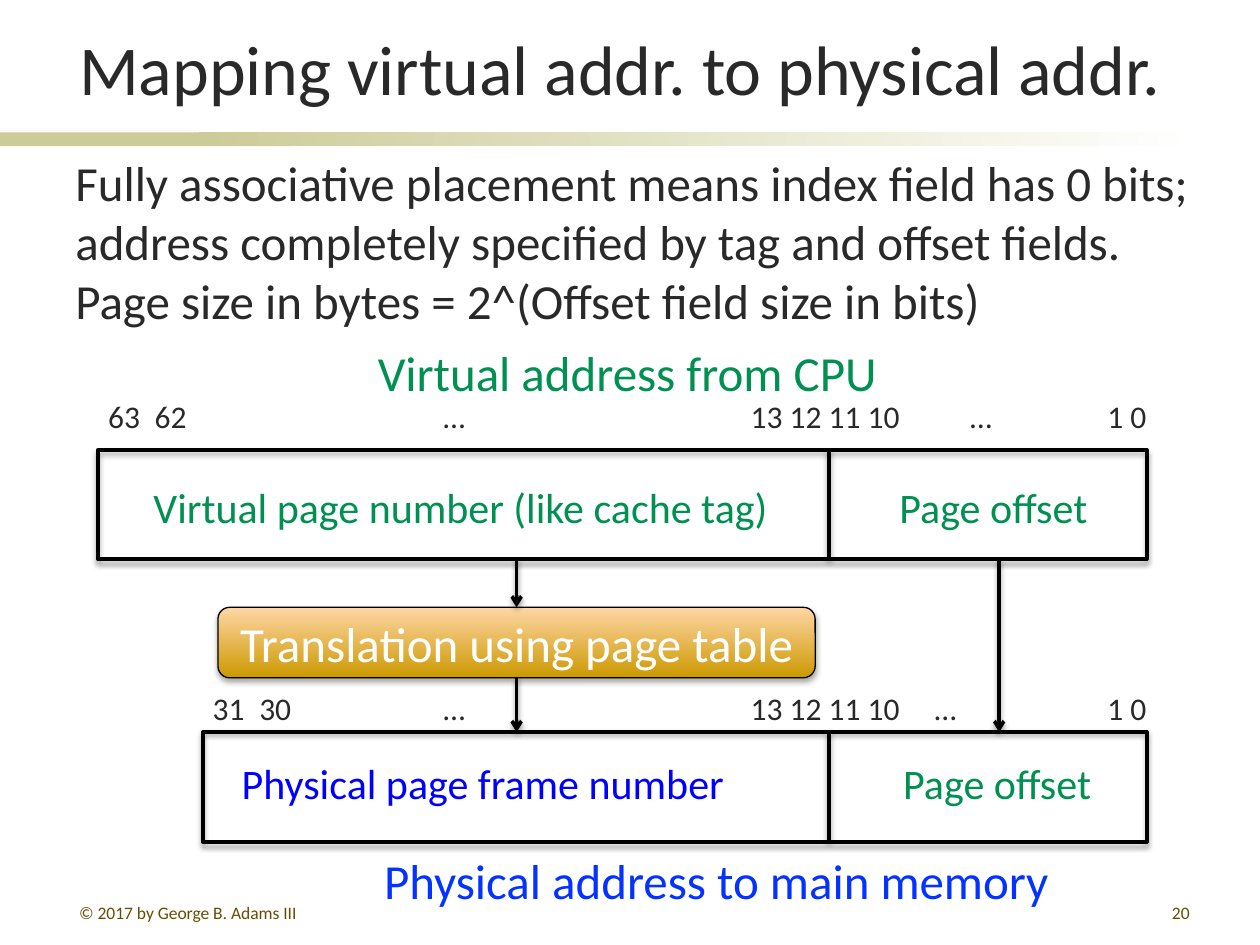
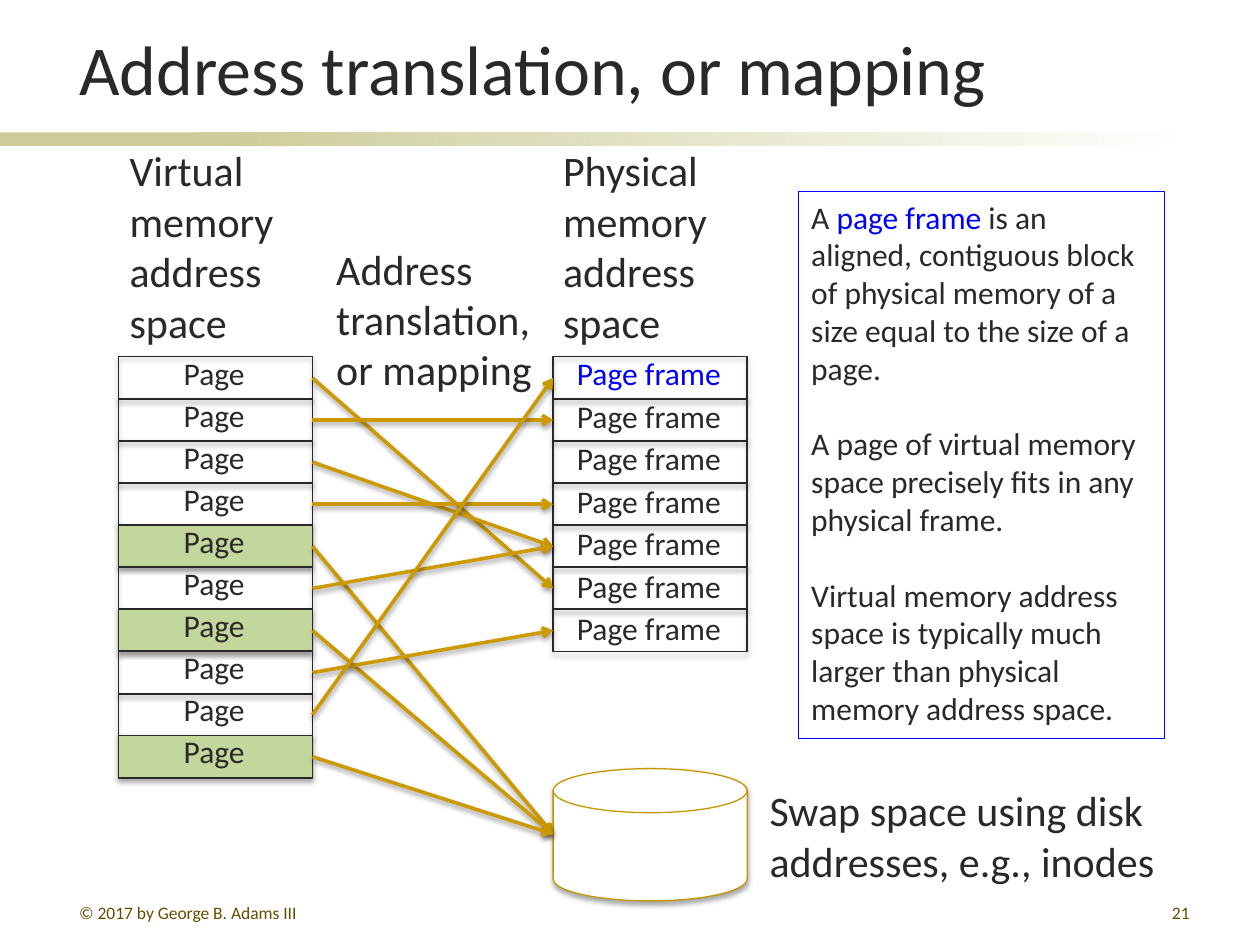
"""Builds two slides on mapping virtual addresses to physical addresses."""
from lxml.etree import SubElement
from pptx import Presentation
from pptx.dml.color import RGBColor
from pptx.enum.shapes import MSO_CONNECTOR, MSO_SHAPE as Preset
from pptx.enum.text import MSO_ANCHOR as Anchor, PP_ALIGN as Align
from pptx.oxml.ns import qn
from pptx.util import Inches, Pt

INK = RGBColor(0x29, 0x29, 0x29)
BLACK = RGBColor(0, 0, 0)
WHITE = RGBColor(0xFF, 0xFF, 0xFF)
KHAKI = RGBColor(0xCC, 0xCC, 0x99)
BROWN = RGBColor(0x66, 0x4D, 0x00)
GREEN = RGBColor(0x00, 0x90, 0x51)
BLUE = RGBColor(0x00, 0x00, 0xFF)
SKY = RGBColor(0x04, 0x32, 0xFF)
GOLD = RGBColor(0xCC, 0x99, 0x00)
DARK_GOLD = RGBColor(0xC8, 0x96, 0x00)
PEACH = RGBColor(0xFF, 0xD6, 0xA5)
SWAPPED = RGBColor(0xC3, 0xD6, 0x9B)
FONT = "Calibri"

COLUMNS, ROWS = 100, 75
presentation = Presentation()
presentation.slide_width, presentation.slide_height = Inches(10), Inches(7.5)
CELL = presentation.slide_width // COLUMNS


def add_box(slide, preset, box, fill=None, line=None, weight=0.75, shadow=True):
    """Draw a preset shape; box is in grid cells, fill a colour or (start, end, angle)."""
    shape = slide.shapes.add_shape(preset, *[round(value * CELL) for value in box])
    shape.shadow.inherit = False
    if isinstance(fill, tuple) and not isinstance(fill, RGBColor):
        shape.fill.gradient()
        shape.fill.gradient_angle = fill[2]
        for stop, colour in zip(shape.fill.gradient_stops, fill):
            stop.color.rgb = colour
    elif fill is not None:
        shape.fill.solid()
        shape.fill.fore_color.rgb = fill
    else:
        shape.fill.background()
    if line is None:
        shape.line.fill.background()
    else:
        shape.line.color.rgb = line
        shape.line.width = Pt(weight)
    if shadow:
        shadowed.append((shape.element.spPr.find(qn("a:effectLst")), 1.8, 35))
    return shape


def add_text(target, paragraphs, size, colour=INK, box=None, align=Align.LEFT,
             anchor=Anchor.TOP, gap=0):
    """Write paragraphs of (text, colour) runs into a shape, or a new box on a slide."""
    shape = target
    if box:
        shape = target.shapes.add_textbox(*[round(value * CELL) for value in box])
    frame = shape.text_frame
    frame.word_wrap, frame.vertical_anchor = True, anchor
    for number, runs in enumerate(paragraphs):
        paragraph = frame.add_paragraph() if number else frame.paragraphs[0]
        paragraph.alignment = align
        paragraph.space_before = Pt(gap if number else 0)
        for text, run_colour in [(runs, colour)] if isinstance(runs, str) else runs:
            run = paragraph.add_run()
            run.text = text
            run.font.color.rgb = run_colour
            for name, value in {"name": FONT, "size": Pt(size)}.items():
                setattr(run.font, name, value)


shadowed = []
lines = []
slides = []
titles = ["Mapping virtual addr. to physical addr.", "Address translation, or mapping"]
for number, title in enumerate(titles, start=20):
    slide = presentation.slides.add_slide(presentation.slide_layouts[6])
    slides.append(slide)
    add_box(slide, Preset.RECTANGLE, (0, 10.5, 23.3, 1.1), KHAKI, shadow=False)
    add_box(slide, Preset.RECTANGLE, (15.8, 10.5, 79.2, 1.1), (KHAKI, WHITE, 0), shadow=False)
    add_text(slide, [title], 40, box=(5.3, 1.1, 90.1, 8.1), anchor=Anchor.BOTTOM)
    add_text(slide, ["© 2017 by George B. Adams III"], 10, BROWN, (5.3, 71.1, 21.7, 2.1))
    add_text(slide, [str(number)], 10, BROWN, (74.6, 71.1, 20.8, 2.1), Align.RIGHT)
mapping_slide, translation_slide = slides

add_text(mapping_slide, [
    "Fully associative placement means index field has 0 bits; "
    "address completely specified by tag and offset fields.",
    "Page size in bytes = 2^(Offset field size in bits)",
], 28, box=(5, 11.6, 91.4, 15.1))

RIGHT, SPLIT, FIELD_HEIGHT = 91, 65.8, 8.7
VIRTUAL_TOP, PHYSICAL_TOP = 35.7, 58.1
addresses = [
    (7.8, VIRTUAL_TOP, 31, ["63", "62"], 76),
    (16.1, PHYSICAL_TOP, 54.2, ["31", "30"], 73.2),
]
for left, top, label_top, high_bits, dots_left in addresses:
    add_box(mapping_slide, Preset.RECTANGLE, (left, top, RIGHT - left, FIELD_HEIGHT),
            line=BLACK, weight=2.25)
    lines.append((mapping_slide, (SPLIT, top), (SPLIT, top + FIELD_HEIGHT), BLACK, False))
    bit_lefts = [left - 0.2, left + 3.5, 34.2, 58.6, dots_left, 86.9]
    for bit_left, bits in zip(bit_lefts, [*high_bits, "…", "13 12 11 10", "…", "1 0"]):
        add_text(mapping_slide, [bits], 18, box=(bit_left, label_top, 4 + 1.2 * len(bits), 4))

mapping_labels = [
    ("Virtual page number (like cache tag)", 24, GREEN, (11.2, 37.7, 54, 5)),
    ("Page offset", 24, GREEN, (70.4, 37.7, 20, 5)),
    ("Physical page frame number", 24, BLUE, (18.2, 59.6, 47, 5)),
    ("Page offset", 24, GREEN, (70.7, 59.6, 20, 5)),
    ("Virtual address from CPU", 28, GREEN, (29, 26.7, 44, 5.7)),
    ("Physical address to main memory", 28, SKY, (29.5, 67, 58, 5.7)),
]
for text, size, colour, box in mapping_labels:
    add_text(mapping_slide, [text], size, colour, box)

page_table = add_box(mapping_slide, Preset.ROUNDED_RECTANGLE, (17.3, 48.2, 47.4, 5.6),
                     (GOLD, PEACH, 90), BLACK)
add_text(page_table, ["Translation using page table"], 28, WHITE,
         align=Align.CENTER, anchor=Anchor.MIDDLE)
field_bottom = VIRTUAL_TOP + FIELD_HEIGHT
for x, start, end in [(41, field_bottom, 48.2), (41, 53.8, PHYSICAL_TOP),
                      (79.3, field_bottom, PHYSICAL_TOP)]:
    lines.append((mapping_slide, (x, start), (x, end), BLACK, True))

PAGE_LEFT, FRAME_LEFT, PAGE_WIDTH = 9.4, 43.9, 15.4
PAGE_TOP, PAGE_STEP, PAGE_HEIGHT = 28.3, 3.34, 3.4
DISK = None
page_targets = [5, 1, 4, 3, DISK, 4, DISK, 6, 0, DISK]
columns = [
    ("Page", PAGE_LEFT, 3.33, [SWAPPED if target is DISK else None for target in page_targets]),
    ("Page frame", FRAME_LEFT, 3.38, [None] * 7),
]
for text, left, text_step, fills in columns:
    for row, fill in enumerate(fills):
        add_box(translation_slide, Preset.RECTANGLE,
                (left, PAGE_TOP + row * PAGE_STEP, PAGE_WIDTH, PAGE_HEIGHT), fill, INK)
    for row in range(len(fills)):
        colour = BLUE if text == "Page frame" and row == 0 else INK
        add_text(translation_slide, [text], 18, colour,
                 (left - 0.1, 27.6 + row * text_step, PAGE_WIDTH, 4), Align.CENTER)

add_box(translation_slide, Preset.FLOWCHART_MAGNETIC_DISK,
        (FRAME_LEFT, 61, PAGE_WIDTH, 10.5), WHITE, DARK_GOLD)
first_middle = PAGE_TOP + PAGE_HEIGHT / 2
for row, target in enumerate(page_targets):
    end = 66.2 if target is DISK else first_middle + target * PAGE_STEP
    lines.append((translation_slide, (PAGE_LEFT + PAGE_WIDTH, first_middle + row * PAGE_STEP),
                  (FRAME_LEFT, end), GOLD, True))

captions = [
    ("Virtual memory address space", (9.3, 11, 16.5, 17.2)),
    ("Physical memory address space", (43.7, 11, 16.5, 17.2)),
    ("Swap space using disk addresses, e.g., inodes", (60.1, 61.8, 33.7, 9.1)),
    ("Address translation, or mapping", (25.7, 18.8, 17.9, 13.1)),
]
for text, box in captions:
    add_text(translation_slide, [text], 24, box=box)

definition = add_box(translation_slide, Preset.RECTANGLE, (63.4, 15.2, 29, 43.4),
                     line=BLUE, shadow=False)
add_text(definition, [
    [("A ", INK), ("page frame", BLUE),
     (" is an aligned, contiguous block of physical memory of a size equal "
      "to the size of a page.", INK)],
    "A page of virtual memory space precisely fits in any physical frame.",
    "Virtual memory address space is typically much larger than physical memory address space.",
], 18, gap=21.6)

for slide, start, end, colour, arrow in lines:
    connector = slide.shapes.add_connector(
        MSO_CONNECTOR.STRAIGHT, *[round(value * CELL) for value in (*start, *end)])
    connector.line.color.rgb = colour
    connector.line.width = Pt(2)
    properties = connector.element.spPr
    if arrow:
        SubElement(properties.find(qn("a:ln")), qn("a:tailEnd"), type="arrow")
    shadowed.append((SubElement(properties, qn("a:effectLst")), 1.6, 38))

for effects, distance, opacity in shadowed:
    shadow = SubElement(effects, qn("a:outerShdw"), blurRad=str(Pt(3.1)), dist=str(Pt(distance)),
                        dir="5400000", rotWithShape="0")
    colour = SubElement(shadow, qn("a:srgbClr"), val=str(BLACK))
    SubElement(colour, qn("a:alpha"), val=str(opacity * 1000))

presentation.save("out.pptx")
